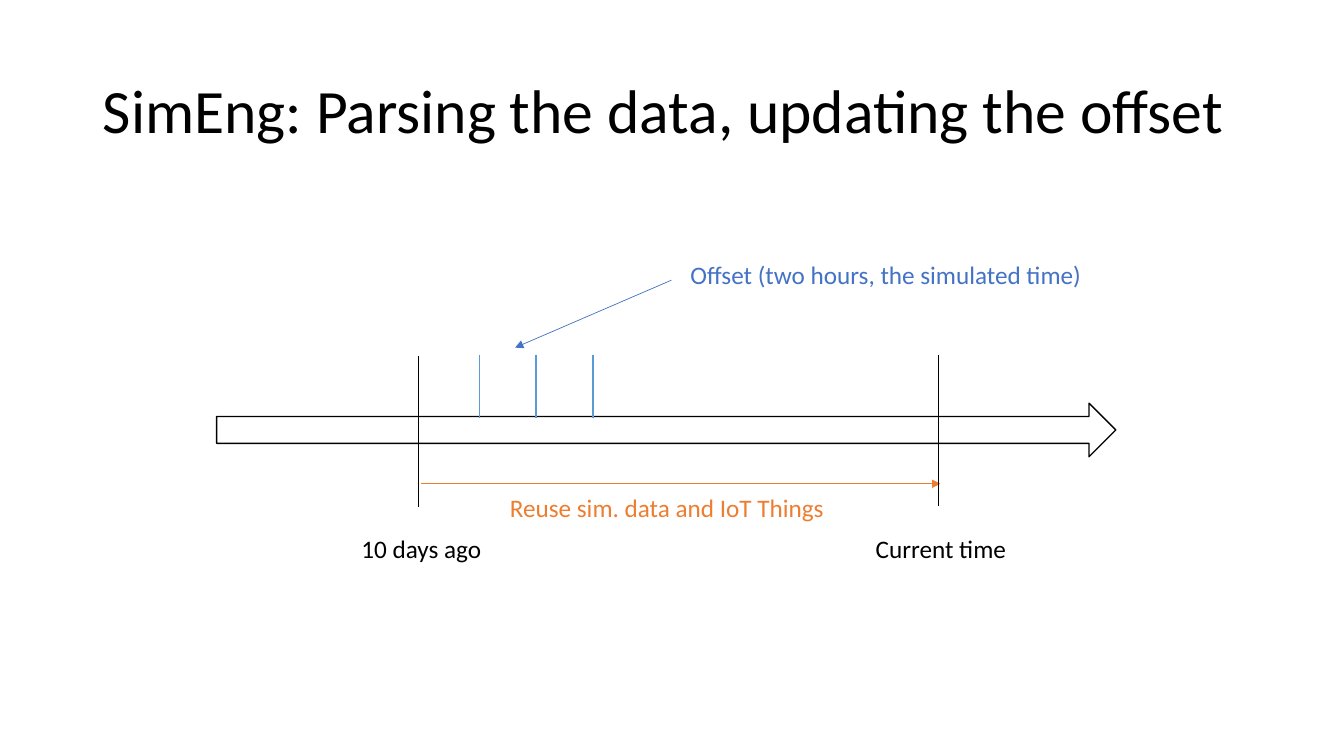
from lxml import etree
from pptx import Presentation
from pptx import util as u
from pptx.dml.color import RGBColor
from pptx.enum import shapes, text
from pptx.oxml.ns import qn

BLACK, WHITE, ORANGE, BLUE, TICK = "000000", "FFFFFF", "ED7D31", "4472C4", "5B9BD5"


def rgb(value):
    """Turn a hex string into a colour."""
    return RGBColor.from_string(value)


def cm(*values):
    """Turn numbers into lengths in centimetres."""
    return [u.Cm(v) for v in values]


def write(tf, content, size, color, **frame):
    """Put one formatted paragraph into a text frame."""
    for name, value in {"word_wrap": True, **frame}.items():
        setattr(tf, name, value)
    p = tf.paragraphs[0]
    p.alignment = text.PP_ALIGN.LEFT
    r = p.add_run()
    r.text = content
    for name, value in {"name": "Calibri", "size": u.Pt(size)}.items():
        setattr(r.font, name, value)
    r.font.color.rgb = rgb(color)
    return p


def add_title(s, content):
    """Fill and place the title placeholder."""
    sp = s.shapes.title
    sp.left, sp.top, sp.width, sp.height = cm(2.34, 1.02, 29.21, 3.68)
    p = write(sp.text_frame, content, 44, BLACK, auto_size=text.MSO_AUTO_SIZE.NONE,
              vertical_anchor=text.MSO_ANCHOR.MIDDLE)
    p.line_spacing = 0.9


def add_label(s, content, left, top, width, color=BLACK):
    """Add a one-line label."""
    sp = s.shapes.add_textbox(*cm(left, top, width, 1.02))
    write(sp.text_frame, content, 18, color, auto_size=text.MSO_AUTO_SIZE.SHAPE_TO_FIT_TEXT)


def add_time_arrow(s, *box):
    """Add the outlined block arrow of the time axis."""
    sp = s.shapes.add_shape(shapes.MSO_SHAPE.RIGHT_ARROW, *cm(*box))
    sp.shadow.inherit = False
    sp.fill.solid()
    sp.fill.fore_color.rgb = rgb(WHITE)
    sp.line.color.rgb = rgb(BLACK)
    sp.line.width = u.Pt(1)


def add_line(s, x1, y1, x2, y2, color=BLACK, width=1, arrow=False):
    """Add a straight line, with an arrowhead at its end if asked."""
    sp = s.shapes.add_connector(shapes.MSO_CONNECTOR.STRAIGHT, *cm(x1, y1, x2, y2))
    sp.line.color.rgb = rgb(color)
    sp.line.width = u.Pt(width)
    if arrow:
        etree.SubElement(sp.line._get_or_add_ln(), qn("a:tailEnd"), type="triangle")
    etree.SubElement(sp._element.spPr, qn("a:effectLst"))


def main():
    """Build the timeline slide."""
    prs = Presentation()
    prs.slide_width, prs.slide_height = cm(33.87, 19.05)
    s = prs.slides.add_slide(prs.slide_layouts[5])
    add_title(s, "SimEng: Parsing the data, updating the offset")
    add_time_arrow(s, 5.46, 10.16, 22.66, 1.35)
    add_line(s, 10.54, 8.97, 10.54, 12.78)
    add_line(s, 10.62, 12.19, 23.7, 12.19, ORANGE, arrow=True)
    add_line(s, 23.65, 8.94, 23.65, 12.75)
    add_label(s, "Reuse sim. data and IoT Things", 12.6, 12.27, 9.12, ORANGE)
    for i in range(3):
        x = 12.08 + 1.43 * i
        add_line(s, x, 8.94, x, 10.54, TICK)
    add_line(s, 16.92, 7.06, 12.98, 8.76, BLUE, 0.5, arrow=True)
    add_label(s, "Offset (two hours, the simulated time)", 17.15, 6.4, 11.18, BLUE)
    add_label(s, "10 days ago", 8.86, 13.31, 7.62)
    add_label(s, "Current time", 21.82, 13.31, 7.62)
    prs.save("out.pptx")


if __name__ == "__main__":
    main()
